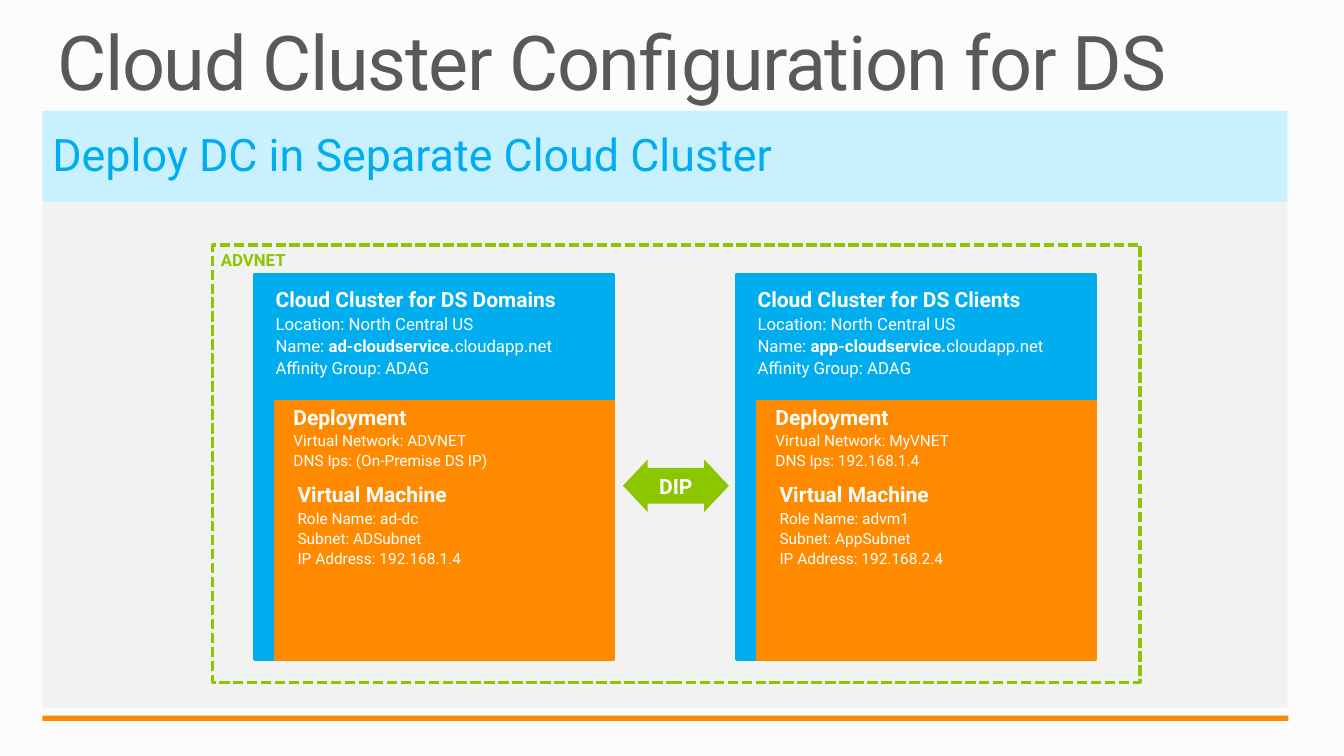
from dataclasses import dataclass

from pptx import Presentation
from pptx.dml.color import RGBColor
from pptx.enum.dml import MSO_LINE
from pptx.enum.shapes import MSO_SHAPE
from pptx.enum.text import MSO_ANCHOR, MSO_AUTO_SIZE, PP_ALIGN
from pptx.util import Pt


@dataclass(frozen=True)
class Theme:
    """Colours, type sizes and font of the slide."""
    font: str = "Roboto"
    page: str = "FCFCFC"
    panel: str = "F2F2F2"
    band: str = "C9F0FF"
    blue: str = "00AEEF"
    orange: str = "FF8A00"
    green: str = "8CC600"
    white: str = "FFFFFF"
    grey: str = "595959"
    title: int = 54
    subtitle: int = 32
    heading: int = 15
    detail: int = 12
    small: int = 11


THEME = Theme()
SERVICES = [
    {
        "left": 182.2,
        "service": ["Cloud Cluster for DS Domains", "Location: North Central US",
                    ("Name: ", "ad-cloudservice.", "cloudapp.net"), "Affinity Group: ADAG"],
        "deployment": ["Deployment", "Virtual Network: ADVNET", "DNS Ips: (On-Premise DS IP)"],
        "machine": ["Virtual Machine", "Role Name: ad-dc", "Subnet: ADSubnet",
                    "IP Address: 192.168.1.4"],
    },
    {
        "left": 526.5,
        "service": ["Cloud Cluster for DS Clients", "Location: North Central US",
                    ("Name: ", "app-cloudservice.", "cloudapp.net"), "Affinity Group: ADAG"],
        "deployment": ["Deployment", "Virtual Network: MyVNET", "DNS Ips: 192.168.1.4"],
        "machine": ["Virtual Machine", "Role Name: advm1", "Subnet: AppSubnet",
                    "IP Address: 192.168.2.4"],
    },
]


def apply_format(target, values):
    """Set every attribute named in a dict of format values."""
    for name, value in values.items():
        setattr(target, name, value)


def add_span(para, text, size, color, bold=False):
    """Add a formatted run to a paragraph."""
    span = para.add_run()
    span.text = text
    apply_format(span.font, {"name": THEME.font, "size": Pt(size), "bold": bold})
    span.font.color.rgb = RGBColor.from_string(color)
    return span


def set_frame(frame, insets=(0, 0, 0, 0), anchor=MSO_ANCHOR.TOP):
    """Set insets, anchor and wrapping of a text frame."""
    left, top, right, bottom = map(Pt, insets)
    apply_format(frame, {
        "margin_left": left, "margin_top": top, "margin_right": right,
        "margin_bottom": bottom, "vertical_anchor": anchor,
        "word_wrap": True, "auto_size": MSO_AUTO_SIZE.NONE,
    })


def add_block(page, bounds, fill=None, line=None, width=0, kind=MSO_SHAPE.RECTANGLE):
    """Add a flat preset shape."""
    shape = page.shapes.add_shape(kind, *map(Pt, bounds))
    shape.shadow.inherit = False
    if fill:
        shape.fill.solid()
        shape.fill.fore_color.rgb = RGBColor.from_string(fill)
    else:
        shape.fill.background()
    if line:
        shape.line.color.rgb = RGBColor.from_string(line)
        shape.line.width = Pt(width)
    else:
        shape.line.fill.background()
    return shape


def add_label(shape, text, size, color, insets, align, bold=False):
    """Write one middle-anchored line inside a shape."""
    set_frame(shape.text_frame, insets, MSO_ANCHOR.MIDDLE)
    para = shape.text_frame.paragraphs[0]
    para.alignment = align
    add_span(para, text, size, color, bold)


def add_lines(page, bounds, lines, size, color):
    """Add a text box with a bold heading and plain lines below it."""
    box = page.shapes.add_textbox(*map(Pt, bounds))
    set_frame(box.text_frame)
    for index, line in enumerate(lines):
        para = box.text_frame.paragraphs[0] if index == 0 else box.text_frame.add_paragraph()
        para.line_spacing = 0.9
        if index == 0:
            add_span(para, line, size if len(lines) == 1 else THEME.heading, color, True)
            continue
        para.space_before = Pt(round(size * 0.23, 1))
        parts = (line,) if isinstance(line, str) else line
        for position, part in enumerate(parts):
            add_span(para, part, size, color, position == 1)


def add_title(page, text):
    """Move and format the title placeholder."""
    title = page.shapes.title
    apply_format(title, {"left": Pt(41), "top": Pt(18), "width": Pt(877.7), "height": Pt(59)})
    set_frame(title.text_frame)
    para = title.text_frame.paragraphs[0]
    apply_format(para, {"alignment": PP_ALIGN.LEFT, "line_spacing": 0.9})
    span = add_span(para, text, THEME.title, THEME.grey)
    span.font._element.set("spc", "-100")


def add_service(page, left, service, deployment, machine):
    """Add one cloud service with its deployment and virtual machine."""
    add_block(page, (left, 196, 256.3, 275), THEME.blue, THEME.blue, 2.25)
    add_lines(page, (left + 14.6, 206.6, 215, 72), service, THEME.detail, THEME.white)
    panel = add_block(page, (left + 14.6, 286.6, 241.7, 184.4), THEME.orange, THEME.orange, 2,
                      MSO_SHAPE.ROUNDED_RECTANGLE)
    panel.adjustments[0] = 0
    add_lines(page, (left + 27.4, 290.9, 140, 46), deployment, THEME.small, THEME.white)
    add_lines(page, (left + 30.3, 346.3, 121.7, 60), machine, THEME.small, THEME.white)


def main():
    """Build the slide and save it."""
    deck = Presentation()
    apply_format(deck, {"slide_width": Pt(960), "slide_height": Pt(540)})
    page = deck.slides.add_slide(deck.slide_layouts[5])
    page.background.fill.solid()
    page.background.fill.fore_color.rgb = RGBColor.from_string(THEME.page)

    add_title(page, "Cloud Cluster Configuration for DS")
    add_block(page, (30.3, 79.2, 889.2, 426.2), THEME.panel)
    add_block(page, (30.3, 511.2, 890, 3.8), THEME.orange)
    band = add_block(page, (30.3, 79.2, 889.2, 64.8), THEME.band)
    add_label(band, "Deploy DC in Separate Cloud Cluster", THEME.subtitle, THEME.blue,
              (7.2, 3.6, 7.2, 7.2), PP_ALIGN.LEFT)

    for service in SERVICES:
        add_service(page, **service)

    network = add_block(page, (152, 175, 662.5, 312.4), None, THEME.green, 2.5)
    network.line.dash_style = MSO_LINE.SQUARE_DOT
    arrow = add_block(page, (445, 328.2, 75.6, 37.6), THEME.green,
                      kind=MSO_SHAPE.LEFT_RIGHT_ARROW)
    arrow.adjustments[0], arrow.adjustments[1] = 0.68, 0.47
    add_label(arrow, "DIP", THEME.heading, THEME.white, (5, 3, 5, 3), PP_ALIGN.CENTER, True)
    add_lines(page, (157.8, 180, 49, 13), ["ADVNET"], THEME.detail, THEME.green)

    deck.save("out.pptx")


if __name__ == "__main__":
    main()
